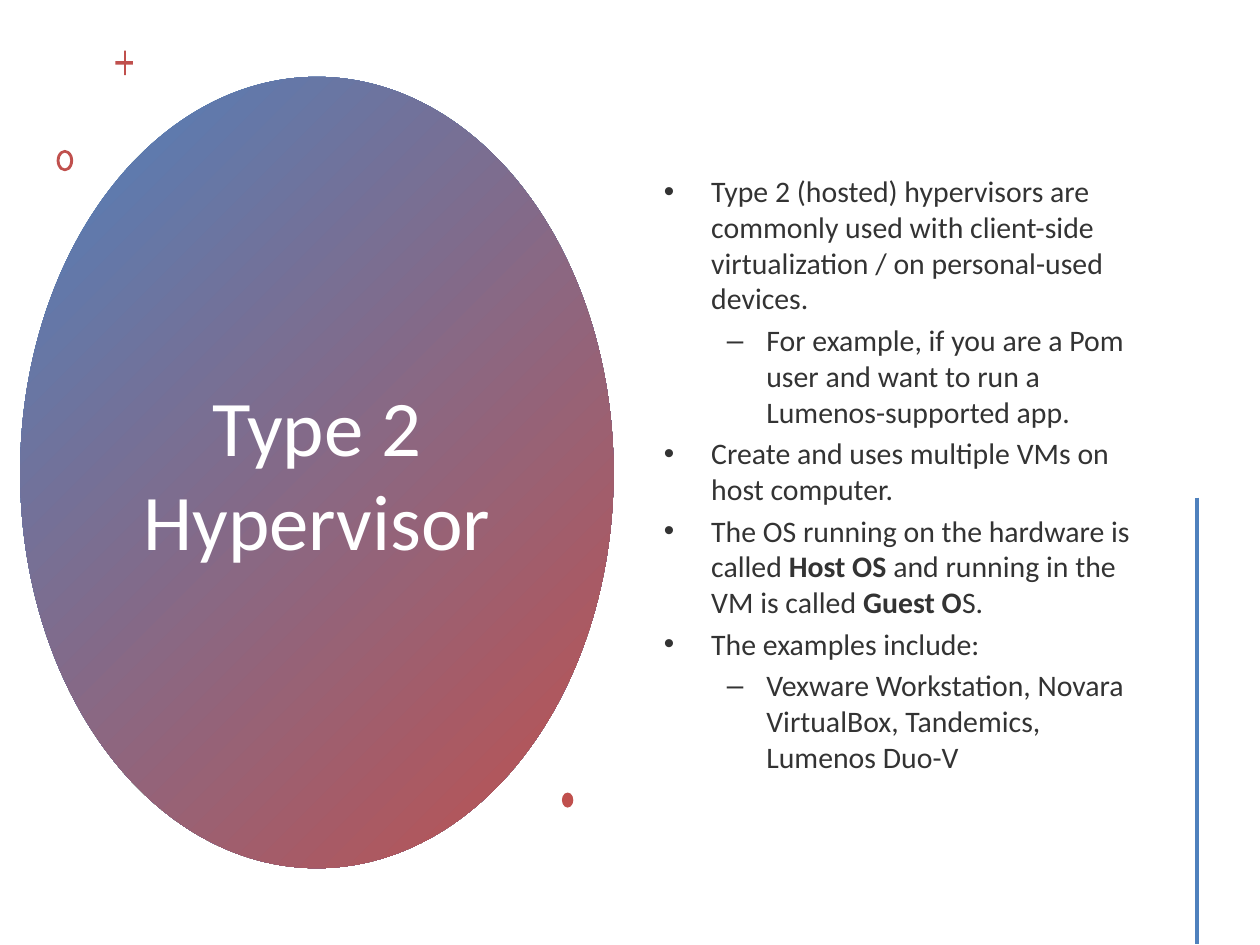
"""Build the Type 2 Hypervisor slide."""
from pptx import Presentation
from pptx import util as u
from pptx.dml.color import RGBColor
from pptx.enum import shapes, text
from pptx.oxml.ns import qn
from lxml import etree

BLUE = RGBColor(0x4F, 0x81, 0xBD)
RED = RGBColor(0xC0, 0x50, 0x4D)
WHITE = RGBColor(0xFF, 0xFF, 0xFF)
DARK = RGBColor(0x33, 0x33, 0x33)
FACE = "Calibri"

TITLE = "Type 2 Hypervisor"
POINTS = [
    (0, [("Type 2 (hosted) hypervisors are commonly used with client-side "
          "virtualization / on personal-used devices.", False)]),
    (1, [("For example, if you are a Pom user and want to run a "
          "Lumenos-supported app.", False)]),
    (0, [("Create and uses multiple VMs on host computer.", False)]),
    (0, [("The OS running on the hardware is called\u00a0", False), ("Host OS ", True),
         ("and running in the VM is called\u00a0", False), ("Guest O", True), ("S.", False)]),
    (0, [("The examples include:", False)]),
    (1, [("Vexware Workstation, Novara VirtualBox, Tandemics, Lumenos Duo-V", False)]),
]
OVAL = (11.5, 43.9, 339.1, 452.2)
HEAD = (73.4, 101.5, 215.3, 336.2)
BODY = (372.2, 41, 281.5, 459.4)
RING = (32.4, 85.7, 9.4, 12.2)
DOT = (321.1, 452.9, 6.5, 8.6)
PLUS = (71.4, 36.3, 1.7, 2)
ARM = (4.1, 5.8)
RULE = (684, 284.4, 684, 539.5)


def place(item, box):
    item.left, item.top, item.width, item.height = map(u.Pt, box)


def paint(shape):
    shape.shadow.inherit = False
    shape.line.fill.background()
    shape.fill.solid()
    shape.fill.fore_color.rgb = RED
    return shape


def style(para, size, color):
    para.font.name, para.font.size = FACE, u.Pt(size)
    para.font.color.rgb = color


def frame(holder, box):
    place(holder, box)
    area = holder.text_frame
    area.word_wrap = True
    area.auto_size = text.MSO_AUTO_SIZE.NONE
    area.vertical_anchor = text.MSO_ANCHOR.MIDDLE
    return area


def add_plus(slide):
    left, top, wide, high = PLUS
    x = [left - 4.9, left - wide / 2, left + wide / 2, left + 4.9]
    y = [top - 6.8, top - high / 2, top + high / 2, top + 6.8]
    steps = [(1, 0), (2, 0), (2, 1), (3, 1), (3, 2), (2, 2),
             (2, 3), (1, 3), (1, 2), (0, 2), (0, 1), (1, 1)]
    dots = [(x[i], y[j]) for i, j in steps]
    pen = slide.shapes.build_freeform(*dots[0], scale=u.Pt(1))
    pen.add_line_segments(dots[1:], close=True)
    paint(pen.convert_to_shape())


def add_oval(slide, title):
    oval = paint(slide.shapes.add_shape(shapes.MSO_SHAPE.OVAL, *map(u.Pt, OVAL)))
    oval.fill.gradient()
    oval.fill.gradient_angle = 315
    for stop, color, pos in zip(oval.fill.gradient_stops, (BLUE, RED), (0, 1)):
        stop.color.rgb, stop.position = color, pos
    title.element.addprevious(oval.element)


def add_rule(slide):
    rule = slide.shapes.add_connector(shapes.MSO_CONNECTOR.STRAIGHT, *map(u.Pt, RULE))
    rule.line.color.rgb, rule.line.width = BLUE, u.Pt(2)
    etree.SubElement(rule.element.spPr, qn("a:effectLst"))


def main():
    deck = Presentation()
    deck.slide_width, deck.slide_height = u.Pt(720), u.Pt(540)
    slide = deck.slides.add_slide(deck.slide_layouts[1])
    title, body = slide.placeholders

    area = frame(title, HEAD)
    area.text = TITLE
    area.paragraphs[0].alignment = text.PP_ALIGN.CENTER
    style(area.paragraphs[0], 45, WHITE)
    add_oval(slide, title)

    area = frame(body, BODY)
    for num, (level, runs) in enumerate(POINTS):
        para = area.add_paragraph() if num else area.paragraphs[0]
        para.level = level
        if not num:
            para.space_before = u.Pt(0)
        style(para, 17, DARK)
        for words, bold in runs:
            run = para.add_run()
            run.text = words
            if bold:
                run.font.bold = True

    add_plus(slide)
    ring = paint(slide.shapes.add_shape(shapes.MSO_SHAPE.DONUT, *map(u.Pt, RING)))
    ring.adjustments[0] = 0.17
    paint(slide.shapes.add_shape(shapes.MSO_SHAPE.OVAL, *map(u.Pt, DOT)))
    add_rule(slide)
    deck.save("out.pptx")


if __name__ == "__main__":
    main()
